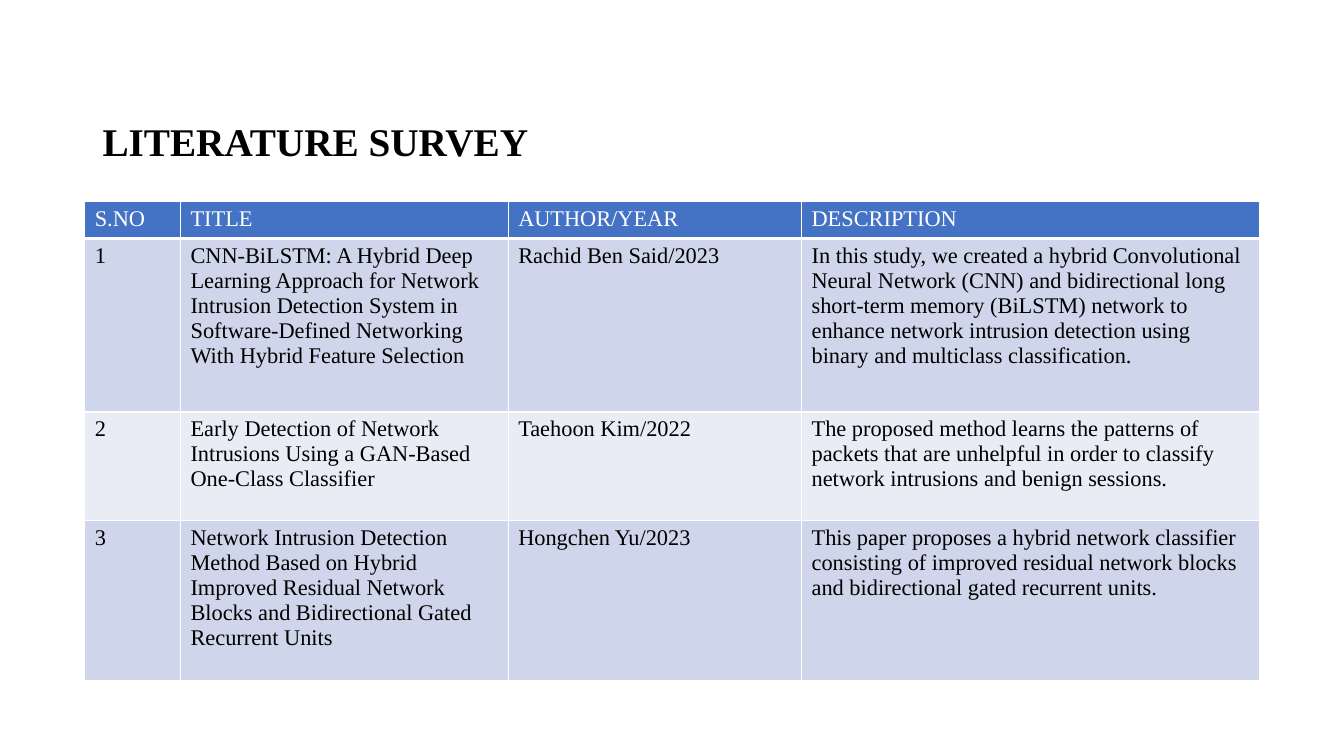
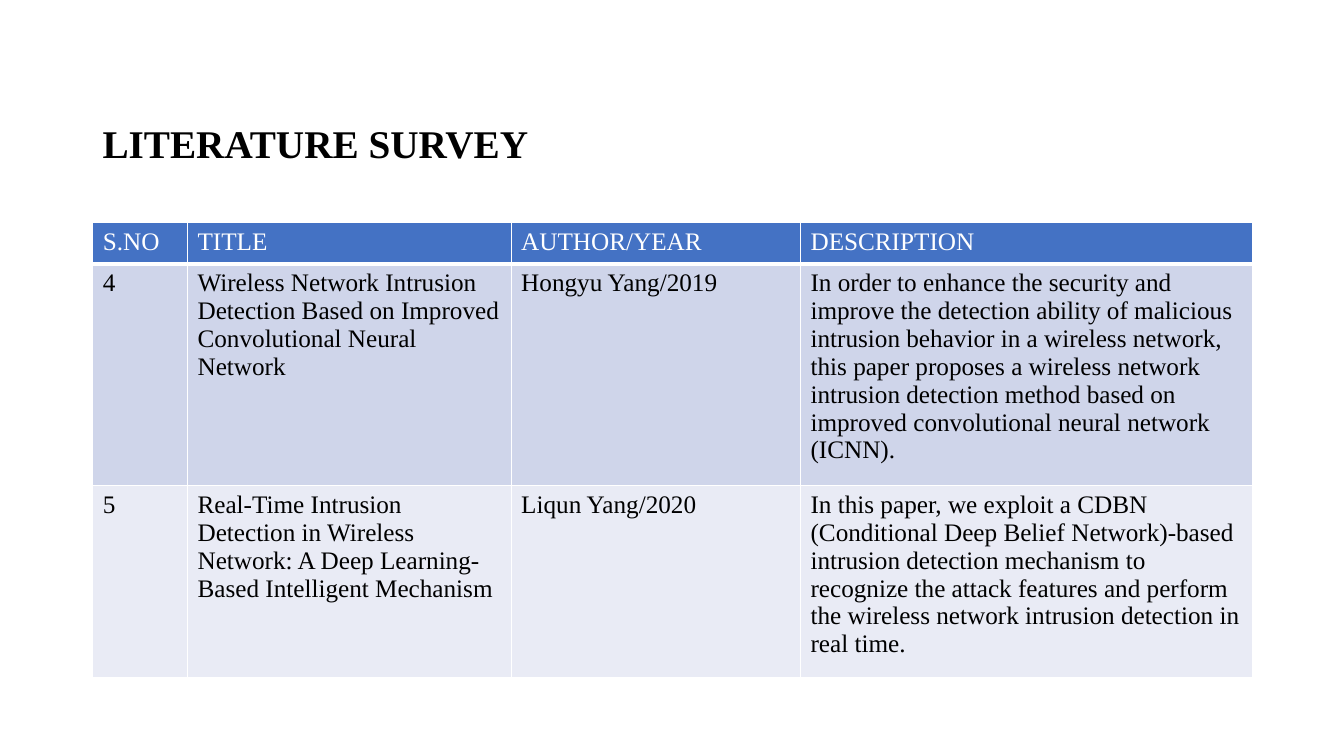
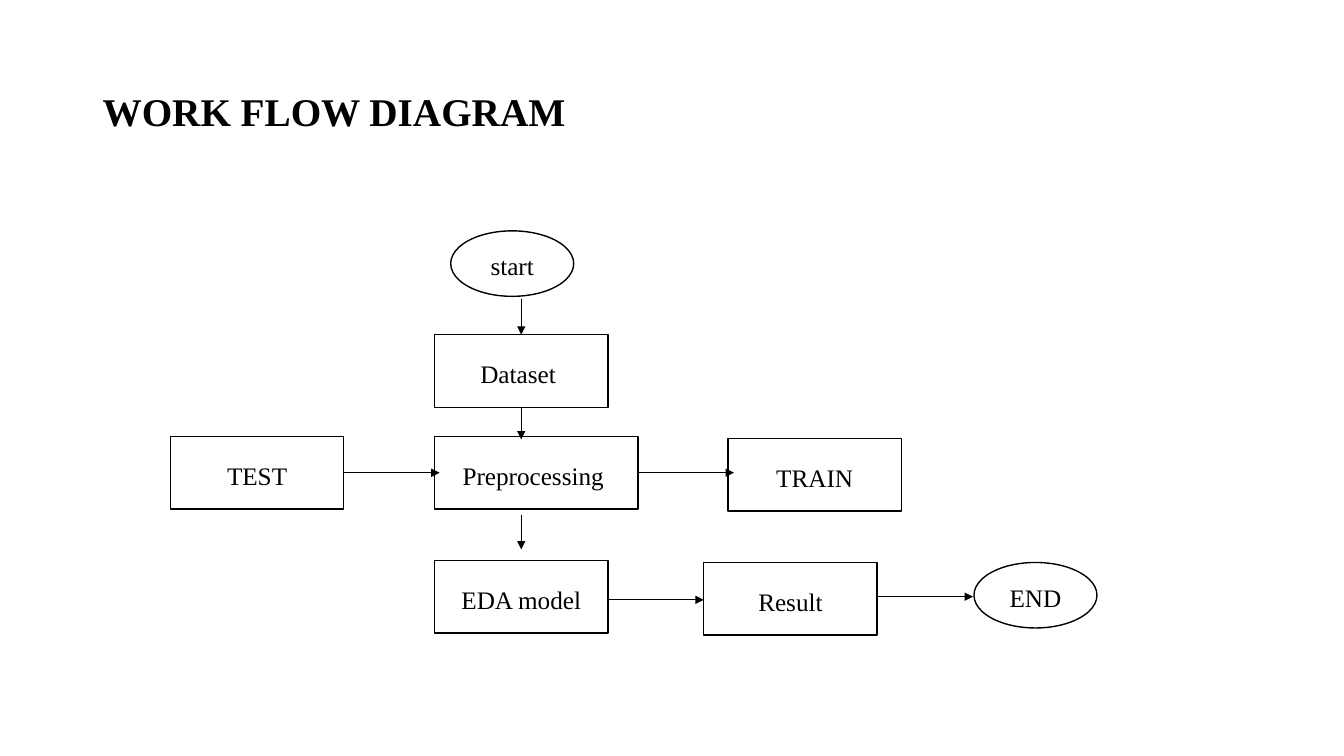
from dataclasses import dataclass
from typing import Optional

from lxml import etree
from pptx import Presentation
from pptx import util as u
from pptx.dml.color import RGBColor
from pptx.enum import shapes, text
from pptx.oxml import ns

# Shared style; lengths are in px, 100 to the inch
PX = 9144
FONT = "Times New Roman"
BLACK, WHITE = "000000", "FFFFFF"
HEADER_FILL = "4472C4"
BAND_FILLS = ("CFD5EA", "E9EBF5")
TOP, LEFT, BOTTOM, RIGHT = range(4)
RECT, OVAL = shapes.MSO_SHAPE.RECTANGLE, shapes.MSO_SHAPE.OVAL


@dataclass(frozen=True)
class Survey:
    title_top: int
    left: int
    top: int
    size: int
    columns: tuple[int, ...]
    heights: tuple[int, ...]
    papers: tuple[tuple[str, ...], ...]


@dataclass(frozen=True)
class Step:
    label: str
    left: int
    top: int
    width: int = 172
    height: int = 72
    kind: shapes.MSO_SHAPE = RECT


@dataclass(frozen=True)
class Arrow:
    start: tuple[int, int]
    end: tuple[int, int]
    source: Optional[tuple[str, int]] = None
    target: Optional[tuple[str, int]] = None


HEADINGS = ("S.NO", "TITLE", "AUTHOR/YEAR", "DESCRIPTION")

SURVEYS = (
    Survey(70, 84, 200, 16, (95, 325, 291, 454), (34, 172, 108, 159), (
        ("1",
         "CNN-BiLSTM: A Hybrid Deep Learning Approach for Network Intrusion Detection "
         "System in Software-Defined Networking With Hybrid Feature Selection",
         "Rachid Ben Said/2023",
         "In this study, we created a hybrid Convolutional Neural Network (CNN) and "
         "bidirectional long short-term memory (BiLSTM) network to enhance network "
         "intrusion detection using binary and multiclass classification."),
        ("2",
         "Early Detection of Network Intrusions Using a GAN-Based One-Class Classifier",
         "Taehoon Kim/2022",
         "The proposed method learns the patterns of packets that are unhelpful in order "
         "to classify network intrusions and benign sessions."),
        ("3",
         "Network Intrusion Detection Method Based on Hybrid Improved Residual Network "
         "Blocks and Bidirectional Gated Recurrent Units",
         "Hongchen Yu/2023",
         "This paper proposes a hybrid network classifier consisting of improved residual "
         "network blocks and bidirectional gated recurrent units."),
    )),
    Survey(72, 92, 221, 18, (94, 321, 287, 448), (41, 203, 175), (
        ("4",
         "Wireless Network Intrusion Detection Based on Improved Convolutional Neural Network",
         "Hongyu Yang/2019",
         "In order to enhance the security and improve the detection ability of malicious "
         "intrusion behavior in a wireless network, this paper proposes a wireless network "
         "intrusion detection method based on improved convolutional neural network (ICNN)."),
        ("5",
         "Real-Time Intrusion Detection in Wireless Network: A Deep Learning-Based "
         "Intelligent Mechanism",
         "Liqun Yang/2020",
         "In this paper, we exploit a CDBN (Conditional Deep Belief Network)-based intrusion "
         "detection mechanism to recognize the attack features and perform the wireless "
         "network intrusion detection in real time."),
    )),
)

STEPS = (
    Step("start", 447, 229, 122, 65, OVAL),
    Step("Dataset ", 431, 332),
    Step("Preprocessing ", 431, 433, width=202),
    Step("EDA model", 431, 556),
    Step("TRAIN", 722, 435),
    Step("TEST", 169, 433),
    Step("Result", 698, 558),
    Step("END", 966, 558, 122, 65, OVAL),
)

ARROWS = (
    Arrow((517, 297), (517, 332), target=("Dataset ", TOP)),
    Arrow((517, 404), (517, 436), source=("Dataset ", BOTTOM)),
    Arrow((517, 511), (517, 545)),
    Arrow((341, 469), (436, 469), source=("TEST", RIGHT)),
    Arrow((633, 469), (728, 469), source=("Preprocessing ", RIGHT)),
    Arrow((603, 595), (698, 595)),
    Arrow((870, 592), (965, 592)),
)


def px(*lengths: int) -> list[u.Emu]:
    return [u.Emu(length * PX) for length in lengths]


def color(value: str) -> RGBColor:
    return RGBColor.from_string(value)


def fill(target, value: str) -> None:
    target.fill.solid()
    target.fill.fore_color.rgb = color(value)


def style(para, size: int, value: str = BLACK, bold: bool = False) -> None:
    font = para.font
    font.name, font.size, font.bold = FONT, u.Pt(size), bold
    font.color.rgb = color(value)


def add_page(deck, title: str, top: int):
    page = deck.slides.add_slide(deck.slide_layouts[6])
    frame = page.shapes.add_textbox(*px(92, top, 1150, 145)).text_frame
    frame.word_wrap = True
    frame.vertical_anchor = text.MSO_ANCHOR.MIDDLE
    para = frame.paragraphs[0]
    para.text = title
    para.line_spacing = 0.9
    style(para, 28, bold=True)
    return page


# Survey tables
def add_borders(cell, top: int, bottom: int) -> None:
    properties = cell._tc.get_or_add_tcPr()
    for index, (side, width) in enumerate(
            (("lnL", 1), ("lnR", 1), ("lnT", top), ("lnB", bottom))):
        line = etree.Element(ns.qn(f"a:{side}"), w=str(u.Pt(width)))
        solid = etree.SubElement(line, ns.qn("a:solidFill"))
        etree.SubElement(solid, ns.qn("a:srgbClr"), val=WHITE)
        properties.insert(index, line)


def add_survey(deck, survey: Survey) -> None:
    page = add_page(deck, "LITERATURE SURVEY", survey.title_top)
    rows = (HEADINGS, *survey.papers)
    table = page.shapes.add_table(
        len(rows), len(HEADINGS),
        *px(survey.left, survey.top, sum(survey.columns), sum(survey.heights))).table
    for column, width in zip(table.columns, px(*survey.columns)):
        column.width = width
    for row, height in zip(table.rows, px(*survey.heights)):
        row.height = height
    for row_number, row in enumerate(rows):
        header = row_number == 0
        for column_number, words in enumerate(row):
            cell = table.cell(row_number, column_number)
            cell.text = words
            style(cell.text_frame.paragraphs[0], survey.size, WHITE if header else BLACK)
            fill(cell, HEADER_FILL if header else BAND_FILLS[(row_number - 1) % 2])
            add_borders(cell, 3 if row_number == 1 else 1, 3 if header else 1)


# Work flow diagram
def add_step(page, step: Step):
    box = page.shapes.add_shape(
        step.kind, *px(step.left, step.top, step.width, step.height))
    box.shadow.inherit = False
    fill(box, WHITE)
    box.line.color.rgb = color(BLACK)
    box.line.width = u.Pt(1)
    frame = box.text_frame
    frame.word_wrap = True
    frame.vertical_anchor = text.MSO_ANCHOR.MIDDLE
    para = frame.paragraphs[0]
    para.text = step.label
    para.alignment = text.PP_ALIGN.CENTER
    para.line_spacing = 1.15
    para.space_after = u.Pt(10)
    style(para, 18)
    return box


def add_arrow(page, arrow: Arrow, boxes: dict) -> None:
    connector = page.shapes.add_connector(
        shapes.MSO_CONNECTOR.STRAIGHT, *px(*arrow.start, *arrow.end))
    if arrow.source:
        label, side = arrow.source
        connector.begin_connect(boxes[label], side)
    if arrow.target:
        label, side = arrow.target
        connector.end_connect(boxes[label], side)
    connector.line.color.rgb = color(BLACK)
    connector.line.width = u.Pt(0.5)
    etree.SubElement(connector.line._get_or_add_ln(), ns.qn("a:tailEnd"), type="triangle")
    etree.SubElement(connector._element.spPr, ns.qn("a:effectLst"))


def add_work_flow(deck) -> None:
    page = add_page(deck, "WORK FLOW DIAGRAM", 40)
    boxes = {step.label: add_step(page, step) for step in STEPS}
    for arrow in ARROWS:
        add_arrow(page, arrow, boxes)


def main() -> None:
    deck = Presentation()
    deck.slide_width, deck.slide_height = px(1333, 750)
    for survey in SURVEYS:
        add_survey(deck, survey)
    add_work_flow(deck)
    deck.save("out.pptx")


if __name__ == "__main__":
    main()
